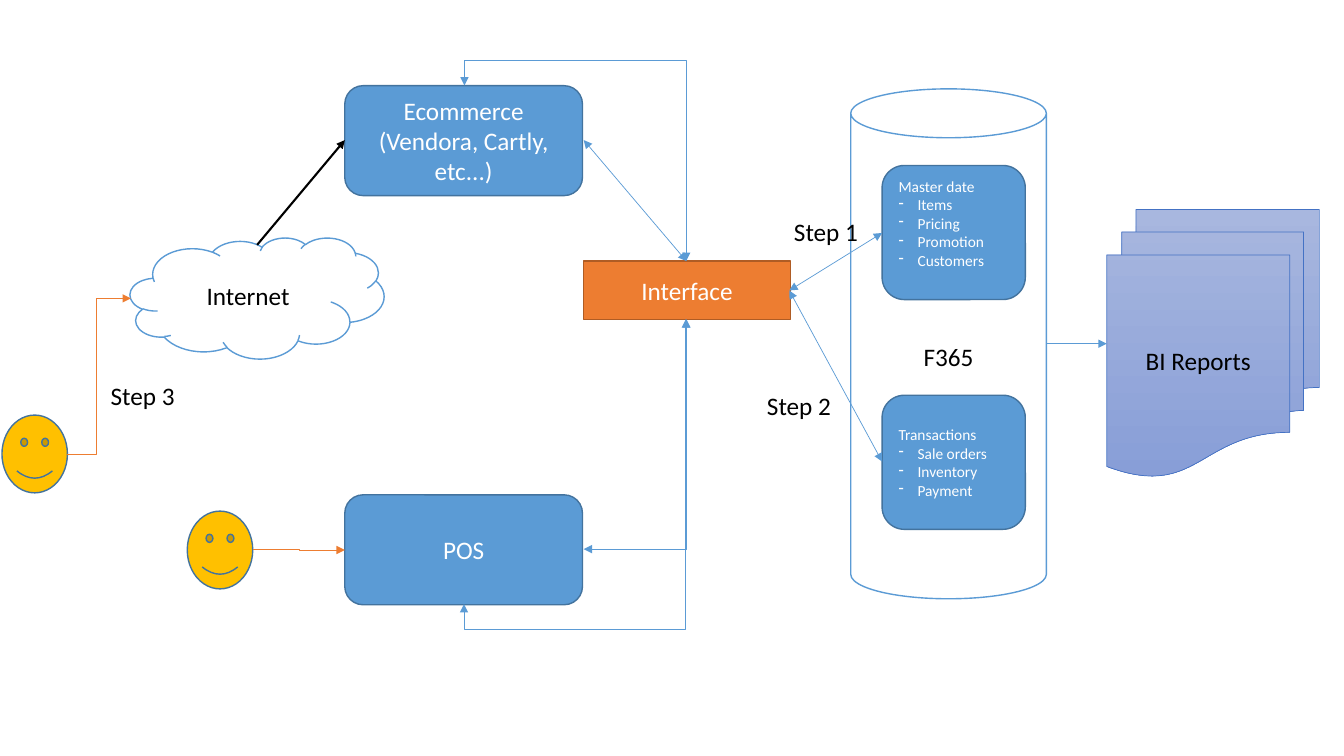
from pptx import Presentation
from pptx.dml.color import RGBColor
from pptx.enum.shapes import MSO_CONNECTOR, MSO_SHAPE
from pptx.enum.text import MSO_ANCHOR, PP_ALIGN
from pptx.oxml.ns import qn
from pptx.util import Cm, Pt
from lxml import etree

CAN, CLOUD, FACE = MSO_SHAPE.CAN, MSO_SHAPE.CLOUD, MSO_SHAPE.SMILEY_FACE
ROUND, RECT = MSO_SHAPE.ROUNDED_RECTANGLE, MSO_SHAPE.RECTANGLE
DOCS = MSO_SHAPE.FLOWCHART_MULTIDOCUMENT
LINE, ELBOW = MSO_CONNECTOR.STRAIGHT, MSO_CONNECTOR.ELBOW
LEFT, CENTER = PP_ALIGN.LEFT, PP_ALIGN.CENTER
MIDDLE = MSO_ANCHOR.MIDDLE

WHITE = RGBColor(0xFF, 0xFF, 0xFF)
BLACK = RGBColor(0, 0, 0)
BLUE = RGBColor(0x5B, 0x9B, 0xD5)
NAVY = RGBColor(0x43, 0x73, 0x9E)
GOLD = RGBColor(0xFF, 0xC0, 0x00)
ORANGE = RGBColor(0xED, 0x7D, 0x31)
RUST = RGBColor(0xAF, 0x5C, 0x24)
INDIGO = RGBColor(0x44, 0x72, 0xC4)
PALE = RGBColor(0xA8, 0xB7, 0xDF)
DEEP = RGBColor(0x88, 0x9E, 0xD7)

deck = Presentation()
deck.slide_width, deck.slide_height = Cm(33.87), Cm(19.05)
slide = deck.slides.add_slide(deck.slide_layouts[6])
shapes = slide.shapes


def write(shape, text, color, size=18, align=CENTER):
    """Set the text of a shape and format all its runs."""
    frame = shape.text_frame
    frame.word_wrap = True
    frame.text = text
    for para in frame.paragraphs:
        para.alignment = align
        for run in para.runs:
            run.font.name, run.font.size = "Calibri", Pt(size)
            run.font.color.rgb = color


def link(start, end, color, kind=LINE, width=0.5, both=False):
    """Draw an arrow between two points, with one head or two."""
    arrow = shapes.add_connector(kind, *map(Cm, start + end))
    arrow.line.color.rgb = color
    arrow.line.width = Pt(width)
    stroke = arrow.line._get_or_add_ln()
    for tag in ("a:headEnd", "a:tailEnd") if both else ("a:tailEnd",):
        etree.SubElement(stroke, qn(tag), type="triangle")
    etree.SubElement(arrow._element.spPr, qn("a:effectLst"))
    return arrow


# Nodes
nodes = [
    (CAN, 21.44, 2.24, 4.93, 12.85, WHITE, BLUE, "F365", BLACK),
    (CLOUD, 3.28, 5.99, 6.4, 3.05, WHITE, BLUE, "Internet", BLACK),
    (ROUND, 8.69, 2.16, 5.99, 2.77, BLUE, NAVY,
     "Ecommerce\n(Vendora, Cartly, etc...)", WHITE),
    (ROUND, 8.69, 12.47, 5.99, 2.77, BLUE, NAVY, "POS", WHITE),
    (FACE, 0.05, 10.46, 1.65, 1.96, GOLD, NAVY, "", WHITE),
    (FACE, 4.72, 12.88, 1.65, 1.96, GOLD, NAVY, "", WHITE),
    (DOCS, 27.89, 5.28, 5.36, 6.73, None, INDIGO, "BI Reports", BLACK),
    (RECT, 14.71, 6.58, 5.21, 1.47, ORANGE, RUST, "Interface", WHITE),
    (ROUND, 22.23, 4.17, 3.61, 3.38, BLUE, NAVY,
     "Master date\nItems\nPricing\nPromotion\nCustomers", WHITE),
    (ROUND, 22.23, 9.96, 3.61, 3.38, BLUE, NAVY,
     "Transactions\nSale orders\nInventory\nPayment", WHITE),
]
made = []
for kind, x, y, w, h, fill, edge, text, ink in nodes:
    node = shapes.add_shape(kind, Cm(x), Cm(y), Cm(w), Cm(h))
    node.shadow.inherit = False
    if fill is None:
        node.fill.gradient()
        node.fill.gradient_angle = 270
        for stop, shade in zip(node.fill.gradient_stops, (PALE, DEEP)):
            stop.color.rgb = shade
    else:
        node.fill.solid()
        node.fill.fore_color.rgb = fill
    node.line.color.rgb = edge
    node.line.width = Pt(0.5 if kind == DOCS else 1)
    node.text_frame.vertical_anchor = MIDDLE
    if text:
        write(node, text, ink)
    made.append(node)

# Dashed lists in the two data boxes
master, sales = made[-2:]
for box in (master, sales):
    write(box, box.text_frame.text, WHITE, 11, LEFT)
    for item in box.text_frame.paragraphs[1:]:
        props = item._p.get_or_add_pPr()
        props.set("marL", str(Cm(0.48)))
        props.set("indent", str(Cm(-0.48)))
        etree.SubElement(props, qn("a:buChar"), char="-")
master.text_frame.margin_bottom = Cm(0.6)

# Straight arrows
link((6.48, 6.17), (8.69, 3.53), BLACK, width=1.5)
link((26.37, 8.66), (27.89, 8.66), BLUE)
port = (19.89, 7.32)
for start, end in [((14.71, 3.53), (17.3, 6.58)),
                   (port, (22.23, 5.87)), (port, (22.23, 11.63))]:
    link(start, end, BLUE, both=True)

# Elbow arrows: start, end, colour, two heads, turn, bend
elbows = [
    ((1.7, 11.46), (3.3, 7.52), ORANGE, False, 0, 0.452),
    ((6.38, 13.84), (8.69, 13.86), ORANGE, False, 0, 0.5),
    ((16.71, 1.57), (12.29, 7.16), BLUE, True, 270, -0.143),
    ((18.08, 14.43), (10.9, 8.84), BLUE, True, 90, -0.088),
    ((14.71, 13.84), (17.3, 8.05), BLUE, True, 0, None),
]
for start, end, color, both, turn, bend in elbows:
    props = link(start, end, color, ELBOW, both=both)._element.spPr
    props.find(qn("a:xfrm")).set("rot", str(turn * 60000))
    geom = props.find(qn("a:prstGeom"))
    if bend is None:
        geom.set("prst", "bentConnector2")
    else:
        guides = geom.find(qn("a:avLst"))
        if guides is None:
            guides = etree.SubElement(geom, qn("a:avLst"))
        etree.SubElement(guides, qn("a:gd"), name="adj1",
                         fmla=f"val {round(bend * 100000)}")

# Step labels
for step, (x, y) in enumerate([(19.76, 5.33), (19.08, 9.7), (2.54, 9.47)], 1):
    label = shapes.add_textbox(Cm(x), Cm(y), Cm(2.62), Cm(1.02))
    write(label, f"Step {step}", BLACK, align=LEFT)

deck.save("out.pptx")
